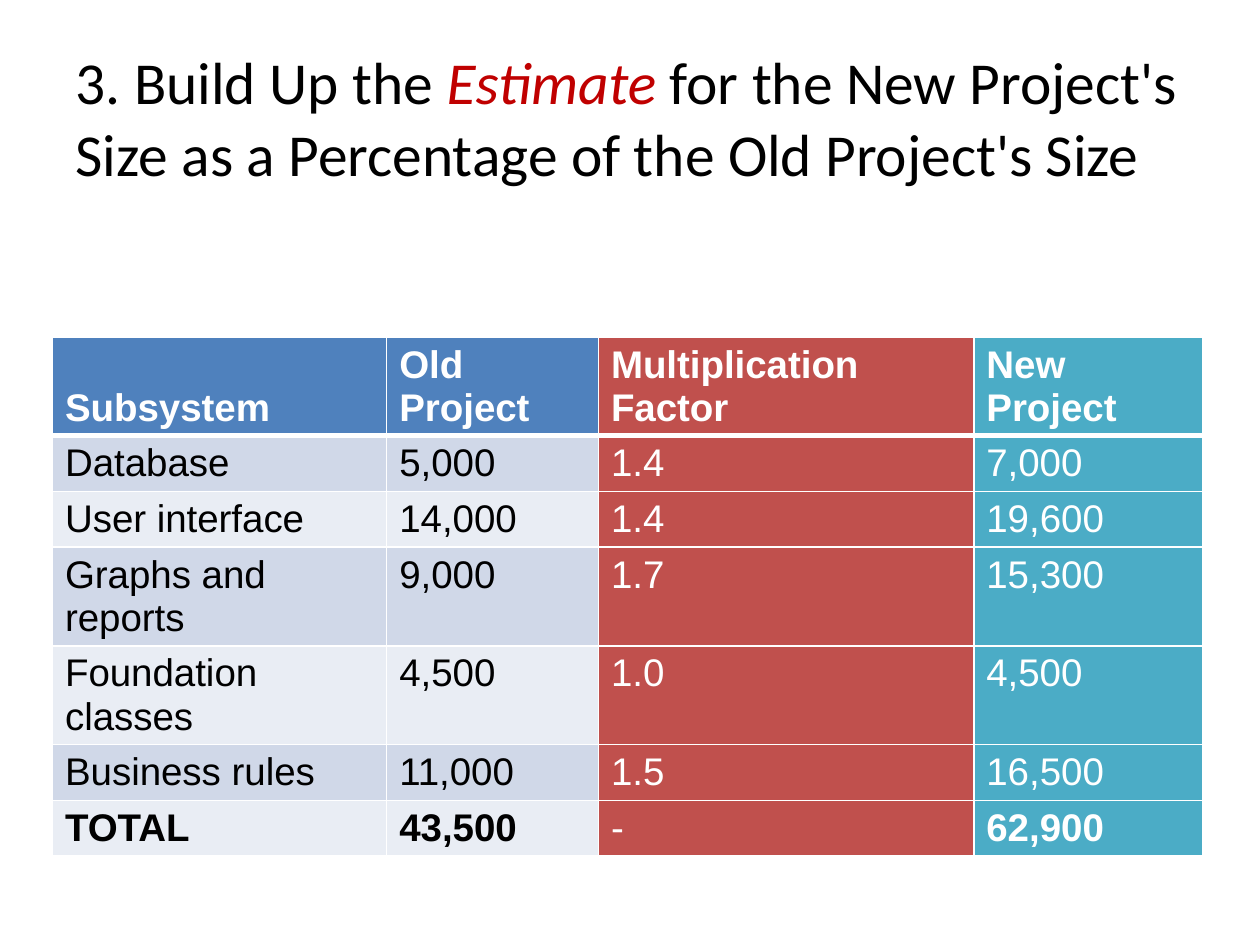
from lxml.etree import SubElement
from pptx import Presentation
from pptx.dml.color import RGBColor
from pptx.enum.text import MSO_ANCHOR, MSO_AUTO_SIZE, PP_ALIGN
from pptx.oxml.ns import qn
from pptx.util import Pt

COLORS = {
    "black": "000000", "white": "FFFFFF", "accent": "C00000",
    "blue": "4F81BD", "red": "C0504D", "teal": "4BACC6",
    "band_dark": "D0D8E8", "band_light": "E9EDF4",
}
TITLE = [
    ("3. Build Up the ", "black", False),
    ("Estimate", "accent", True),
    (" for the New Project's Size as a Percentage of the Old Project's Size", "black", False),
]
ROWS = [
    ("Subsystem", "Old Project", "Multiplication Factor", "New Project"),
    ("Database", "5,000", "1.4", "7,000"),
    ("User interface", "14,000", "1.4", "19,600"),
    ("Graphs and reports", "9,000", "1.7", "15,300"),
    ("Foundation classes", "4,500", "1.0", "4,500"),
    ("Business rules", "11,000", "1.5", "16,500"),
    ("TOTAL", "43,500", "-", "62,900"),
]
HEADER_FILLS = ["blue", "blue", "red", "teal"]
BANDED_COLUMNS = 2
COLUMN_WIDTHS = [191, 121, 214.5, 131]
ROW_HEIGHT = 29.5
TABLE_LEFT, TABLE_TOP = 30, 192.5


def color(name):
    return RGBColor.from_string(COLORS[name])


def add_borders(cell, bottom_width):
    """Draw white lines on all four sides, 1 pt except at the bottom."""
    properties = cell._tc.get_or_add_tcPr()
    for side, width in (("L", 1), ("R", 1), ("T", 1), ("B", bottom_width)):
        line = SubElement(properties, qn(f"a:ln{side}"), w=str(Pt(width)))
        fill = SubElement(line, qn("a:solidFill"))
        SubElement(fill, qn("a:srgbClr"), val=COLORS["white"])


def add_title(page):
    title = page.shapes.title
    title.left, title.top, title.width, title.height = Pt(36), Pt(21.6), Pt(648), Pt(90)
    frame = title.text_frame
    frame.auto_size = MSO_AUTO_SIZE.NONE
    frame.vertical_anchor = MSO_ANCHOR.MIDDLE
    paragraph = frame.paragraphs[0]
    paragraph.alignment = PP_ALIGN.LEFT
    paragraph.font.name, paragraph.font.size = "Calibri", Pt(34)
    for text, color_name, italic in TITLE:
        span = paragraph.add_run()
        span.text = text
        span.font.color.rgb = color(color_name)
        span.font.italic = italic


def format_cell(cell, text, row, column):
    header, total = row == 0, row == len(ROWS) - 1
    banded = not header and column < BANDED_COLUMNS
    band = "band_dark" if row % 2 else "band_light"
    # A header's lower line is shared with the first row of data.
    add_borders(cell, 3 if header else 1)
    cell.fill.solid()
    cell.fill.fore_color.rgb = color(band if banded else HEADER_FILLS[column])
    cell.vertical_anchor = MSO_ANCHOR.BOTTOM if header else MSO_ANCHOR.TOP
    cell.text = text
    font = cell.text_frame.paragraphs[0].font
    font.name, font.size = "Arial", Pt(22)
    font.bold = header or (total and text != "-")
    font.color.rgb = color("black" if banded else "white")


def add_size_table(page):
    table = page.shapes.add_table(
        len(ROWS), len(COLUMN_WIDTHS), Pt(TABLE_LEFT), Pt(TABLE_TOP),
        Pt(sum(COLUMN_WIDTHS)), Pt(ROW_HEIGHT * len(ROWS))).table
    for column, width in zip(table.columns, COLUMN_WIDTHS):
        column.width = Pt(width)
    for row, texts in enumerate(ROWS):
        table.rows[row].height = Pt(ROW_HEIGHT)
        for column, text in enumerate(texts):
            format_cell(table.cell(row, column), text, row, column)
            if row == 1:
                top_line = table.cell(row, column)._tc.tcPr.find(qn("a:lnT"))
                top_line.set("w", str(Pt(3)))


def main():
    deck = Presentation()
    deck.slide_width, deck.slide_height = Pt(720), Pt(540)
    page = deck.slides.add_slide(deck.slide_layouts[5])
    add_title(page)
    add_size_table(page)
    deck.save("out.pptx")


if __name__ == "__main__":
    main()
